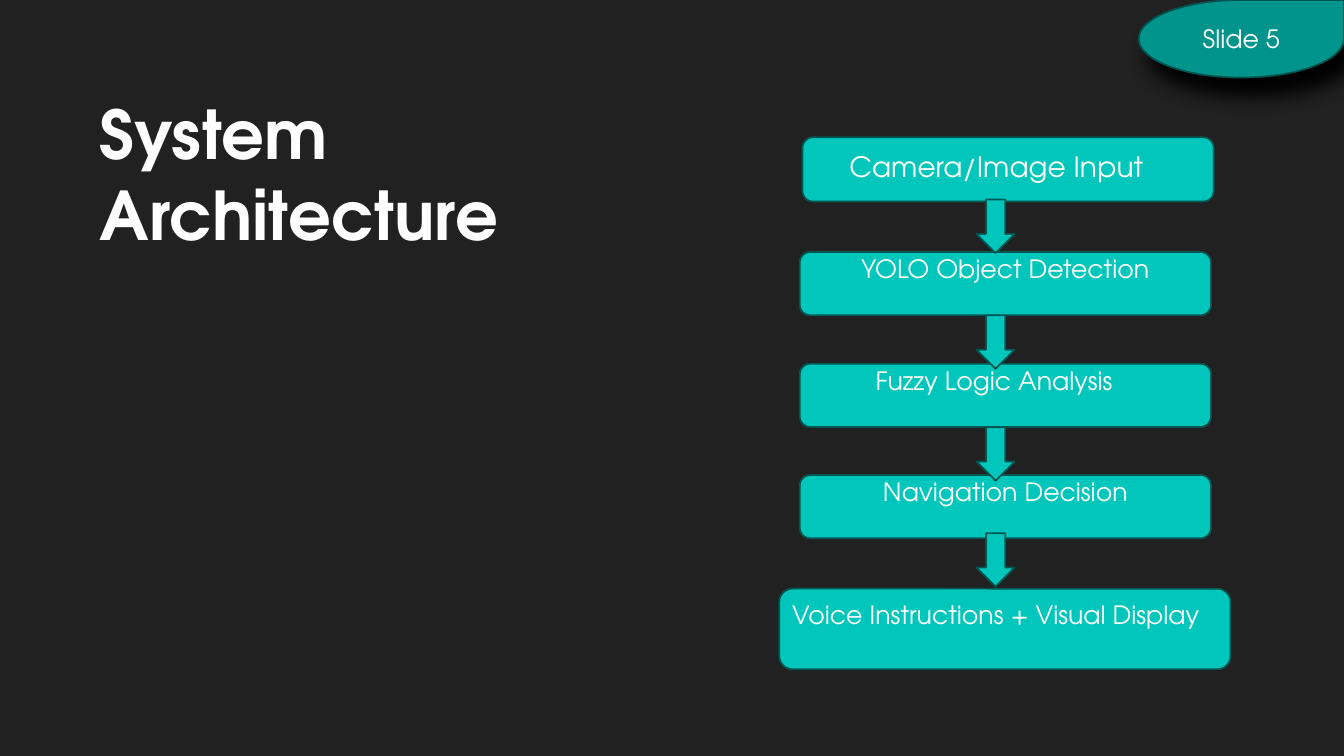
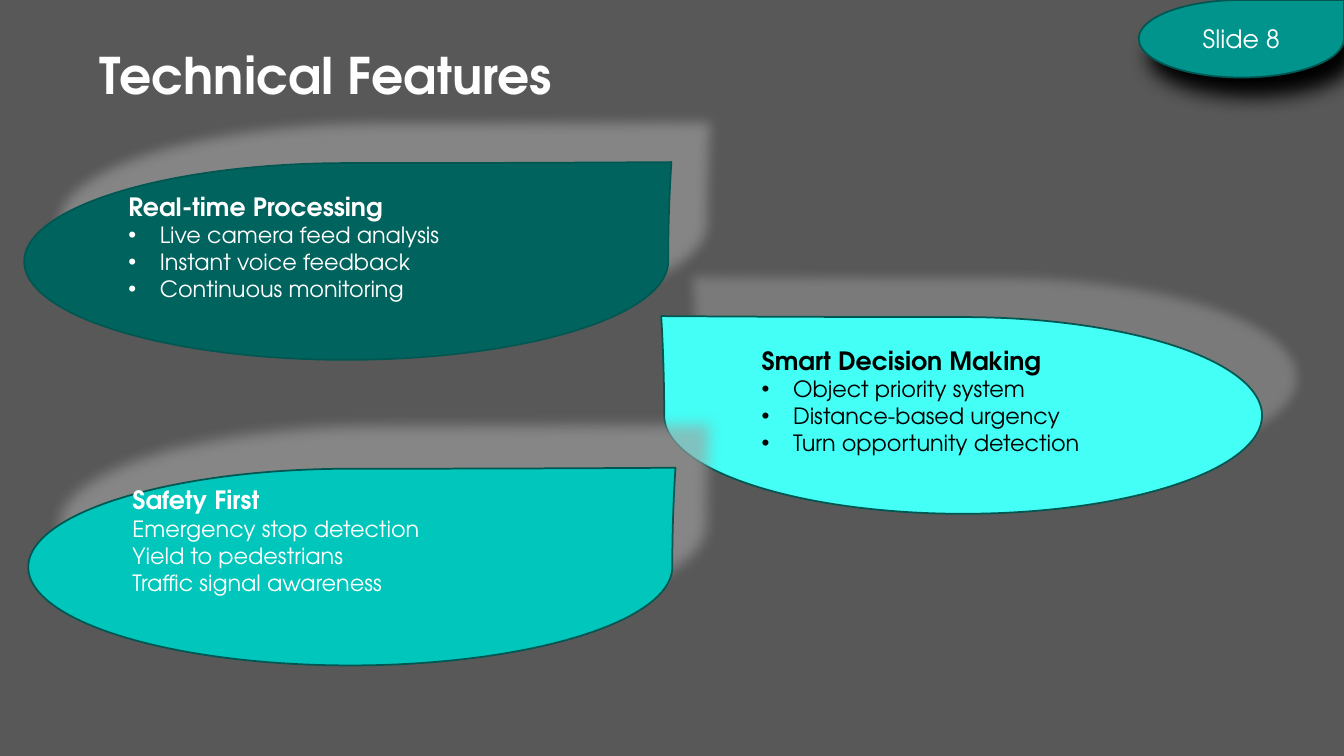
from lxml.etree import SubElement
from pptx import Presentation
from pptx.dml.color import RGBColor
from pptx.enum.shapes import MSO_SHAPE
from pptx.enum.text import MSO_ANCHOR, MSO_AUTO_SIZE, PP_ALIGN
from pptx.oxml.ns import qn
from pptx.util import Pt

FONT = "TeX Gyre Adventor"
COLORS = {
    "night": "212121", "gray": "585858", "title": "FEFEFE",
    "white": "FFFFFF", "black": "000000", "outline": "005752",
    "badge": "00948C", "teal": "00C6BB", "deep": "00635D",
    "aqua": "44FFF5", "mist": "A1A1A1", "haze": "909090",
}
BADGE_SHADOW = ("black", 100, 15, 15, 58)
TITLE_SHADOW = ("black", 60, 4, 2, 45)

ARCHITECTURE = {
    "title": "System Architecture", "frame": (64, 57.6, 382.4, 127.4),
    "size": 48, "background": "night", "badge": "Slide 5",
}
FEATURES = {
    "title": "Technical Features", "frame": (64, 26, 747.4, 52.5),
    "size": 36, "background": "gray", "badge": "Slide 8",
}

STEPS = [
    {"text": "Camera/Image Input", "frame": (573.2, 98, 293.8, 46),
     "size": 20, "right": 19, "bottom": 8},
    {"text": "YOLO Object Detection", "frame": (571.2, 180, 293.8, 45.2)},
    {"text": "Fuzzy Logic Analysis", "frame": (571.2, 259.8, 293.8, 45.2), "right": 18},
    {"text": "Navigation Decision", "frame": (571.2, 339.3, 293.8, 45.2)},
    {"text": "Voice Instructions + Visual Display",
     "frame": (556.6, 420.5, 322.4, 57.6), "right": 15},
]
ARROW_TOPS = [142.6, 225.3, 305.2, 380.9]

LEAVES = [
    {"heading": "Real-time Processing",
     "items": ["Live camera feed analysis", "Instant voice feedback",
               "Continuous monitoring"],
     "frame": (17.3, 116.5, 460, 140.5), "fill": "deep", "ink": "white",
     "shadow": ("mist", 61, 9, 38, 313), "bottom": 25, "bullets": True},
    {"heading": "Smart Decision Making",
     "items": ["Object priority system", "Distance-based urgency",
               "Turn opportunity detection"],
     "frame": (474.5, 226.5, 427, 140.5), "fill": "aqua", "ink": "black",
     "shadow": ("haze", 61, 8, 36, 310), "bottom": 25, "bullets": True,
     "flipped": True},
    {"heading": "Safety First",
     "items": ["Emergency stop detection", "Yield to pedestrians",
               "Traffic signal awareness"],
     "frame": (20.2, 334.8, 460, 140.5), "fill": "teal", "ink": "white",
     "shadow": ("mist", 63, 10, 38, 307), "bottom": 42, "bullets": False},
]


def color(name):
    return RGBColor.from_string(COLORS[name])


def style(font, size, ink, bold=False):
    font.name = FONT
    font.size = Pt(size)
    font.bold = bold
    font.color.rgb = color(ink)


def add_shadow(effects, ink, alpha, blur, distance, degrees):
    shadow = SubElement(effects, qn("a:outerShdw"), blurRad=str(Pt(blur)),
                        dist=str(Pt(distance)), dir=str(degrees * 60000),
                        algn="ctr", rotWithShape="0")
    tint = SubElement(shadow, qn("a:srgbClr"), val=COLORS[ink])
    SubElement(tint, qn("a:alpha"), val=str(alpha * 1000))


def add_figure(page, kind, frame, fill, shadow=None):
    figure = page.shapes.add_shape(kind, *map(Pt, frame))
    figure.shadow.inherit = False
    figure.fill.solid()
    figure.fill.fore_color.rgb = color(fill)
    figure.line.color.rgb = color("outline")
    figure.line.width = Pt(1.25)
    if shadow:
        add_shadow(figure._element.spPr.find(qn("a:effectLst")), *shadow)
    return figure


def write_centered(figure, text, size=18):
    para = figure.text_frame.paragraphs[0]
    para.text = text
    para.alignment = PP_ALIGN.CENTER
    style(para.font, size, "white")


def add_page(deck, content):
    page = deck.slides.add_slide(deck.slide_layouts[5])
    page.background.fill.solid()
    page.background.fill.fore_color.rgb = color(content["background"])
    title = page.shapes.title
    title.left, title.top, title.width, title.height = map(Pt, content["frame"])
    frame = title.text_frame
    frame.auto_size = MSO_AUTO_SIZE.NONE
    frame.vertical_anchor = MSO_ANCHOR.BOTTOM
    para = frame.paragraphs[0]
    para.alignment = PP_ALIGN.LEFT
    span = para.add_run()
    span.text = content["title"]
    style(span.font, content["size"], "title", True)
    effects = SubElement(span.font._element, qn("a:effectLst"))
    span.font._element.find(qn("a:solidFill")).addnext(effects)
    add_shadow(effects, *TITLE_SHADOW)
    badge = add_figure(page, MSO_SHAPE.TEAR, (813.4, 0, 146.6, 55.4),
                       "badge", BADGE_SHADOW)
    write_centered(badge, content["badge"])
    return page


def add_step(page, step):
    box = add_figure(page, MSO_SHAPE.ROUNDED_RECTANGLE, step["frame"], "teal")
    frame = box.text_frame
    frame.margin_left = Pt(2)
    frame.margin_right = Pt(step.get("right", 2))
    frame.margin_bottom = Pt(step.get("bottom", 25))
    write_centered(box, step["text"], step.get("size", 18))


def add_bullet(para):
    props = para._p.get_or_add_pPr()
    props.set("marL", str(Pt(22.5)))
    props.set("indent", str(-Pt(22.5)))
    SubElement(props, qn("a:buFont"), typeface="Arial")
    SubElement(props, qn("a:buChar"), char="•")


def add_leaf(page, leaf):
    figure = add_figure(page, MSO_SHAPE.TEAR, leaf["frame"], leaf["fill"], leaf["shadow"])
    figure.adjustments[0] = 1.01
    if leaf.get("flipped"):
        figure._element.spPr.xfrm.set("flipH", "1")
    frame = figure.text_frame
    frame.margin_bottom = Pt(leaf["bottom"])
    heading = frame.paragraphs[0]
    heading.text = leaf["heading"]
    heading.alignment = PP_ALIGN.LEFT
    style(heading.font, 18, leaf["ink"], True)
    for item in leaf["items"]:
        para = frame.add_paragraph()
        para.text = item
        para.alignment = PP_ALIGN.LEFT
        if leaf["bullets"]:
            add_bullet(para)
        style(para.font, 16, leaf["ink"])


def main():
    deck = Presentation()
    deck.slide_width, deck.slide_height = Pt(960), Pt(540)

    page = add_page(deck, ARCHITECTURE)
    for step in STEPS:
        add_step(page, step)
    for top in ARROW_TOPS:
        add_figure(page, MSO_SHAPE.DOWN_ARROW, (697.4, top, 27.4, 38.2), "teal")

    page = add_page(deck, FEATURES)
    for leaf in LEAVES:
        add_leaf(page, leaf)

    deck.save("out.pptx")


if __name__ == "__main__":
    main()
